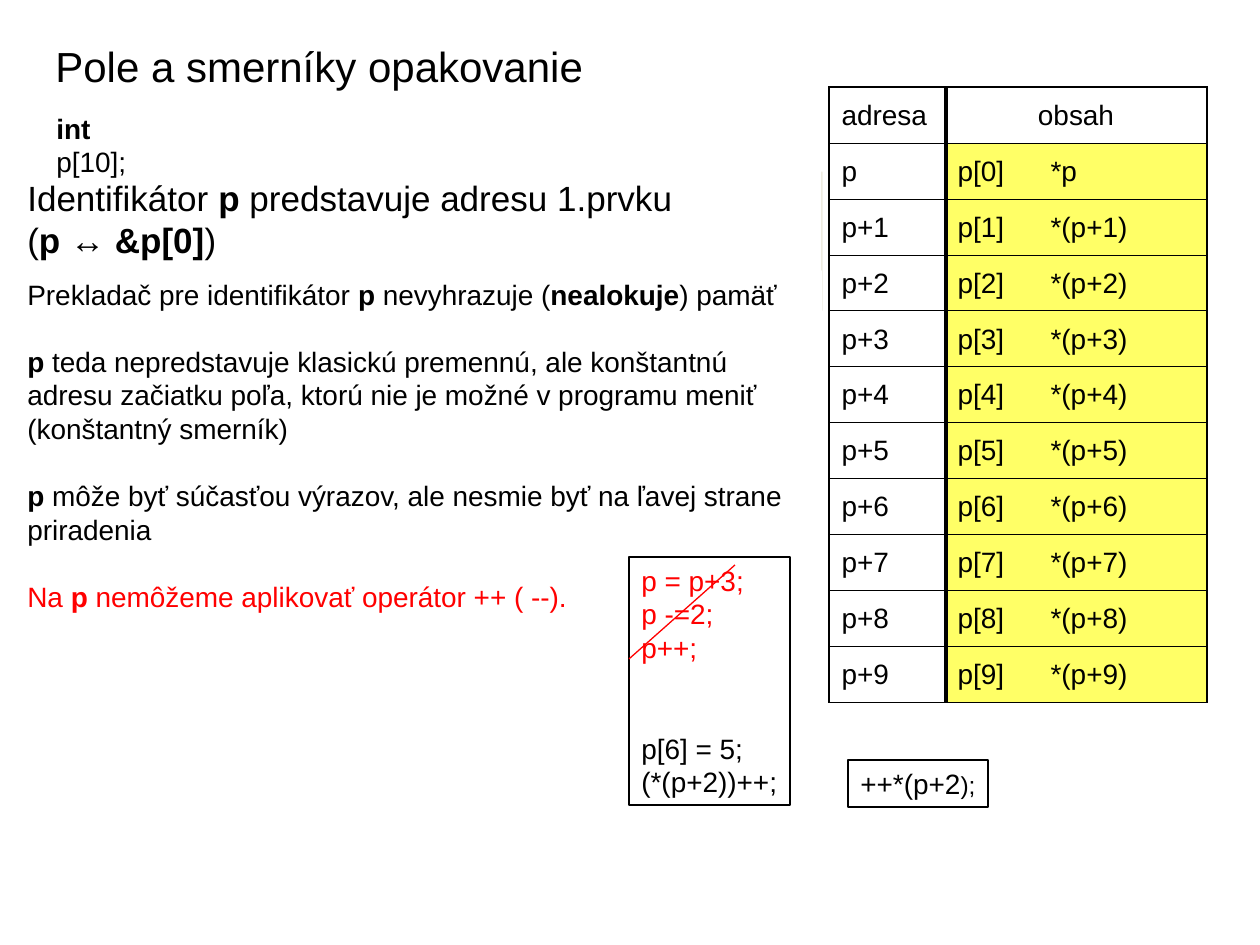
from lxml.etree import SubElement
from pptx import Presentation
from pptx.dml.color import RGBColor
from pptx.enum.shapes import MSO_CONNECTOR as CONN, MSO_SHAPE as SHAPE
from pptx.enum.text import MSO_ANCHOR as ANCHOR, MSO_AUTO_SIZE as AUTO, PP_ALIGN as ALIGN
from pptx.oxml import parse_xml
from pptx.oxml.ns import nsdecls, qn
from pptx.util import Emu, Pt

BLACK = RGBColor(0x00, 0x00, 0x00)
WHITE = RGBColor(0xFF, 0xFF, 0xFF)
RED = RGBColor(0xFF, 0x00, 0x00)
YELLOW = RGBColor(0xFF, 0xFF, 0x66)
SHADOW = RGBColor(0xEE, 0xEC, 0xE1)
FONT = "Arial"
SIZE = 16
ROW = 56
THIN, THICK = 0.45, 1.08


def px(n):
    return Emu(round(n * 914400 / 126))


def add_run(p, text, size=SIZE, color=BLACK, bold=False):
    r = p.add_run()
    r.text = text
    r.font.name = FONT
    r.font.size = Pt(size)
    r.font.bold = bold
    r.font.color.rgb = color


def add_marked(p, text, size, color):
    for i, part in enumerate(text.split("|")):
        if part:
            add_run(p, part, size, color, bold=i % 2 == 1)


def add_box(slide, box, lines, size=SIZE, line=WHITE, wrap=False):
    sp = slide.shapes.add_shape(SHAPE.RECTANGLE, *map(px, box))
    sp.shadow.inherit = False
    sp.fill.solid()
    sp.fill.fore_color.rgb = WHITE
    if line is None:
        sp.line.fill.background()
    else:
        sp.line.color.rgb = line
        sp.line.width = Pt(0.75)
    tf = sp.text_frame
    tf.word_wrap = wrap
    tf.auto_size = AUTO.SHAPE_TO_FIT_TEXT
    tf.vertical_anchor = ANCHOR.TOP
    for i, (text, color, gap) in enumerate(lines):
        p = tf.add_paragraph() if i else tf.paragraphs[0]
        p.alignment = ALIGN.LEFT
        if gap:
            p.space_before = Pt(gap)
        add_marked(p, text, size, color)
    return sp


def add_heading(slide, x, y):
    add_box(slide, (x, y, 553, 63), [("Pole a smerníky opakovanie", BLACK, 0)], size=24)


def add_declaration(slide, x, y):
    add_box(slide, (x, y, 136, 47), [("|int |p[10];", BLACK, 0)])


def add_explanation(slide, x, y):
    sp = add_box(slide, (x, y, 806, 139), [
        ("Identifikátor |p| predstavuje adresu 1.prvku", BLACK, 0),
        ("(|p ↔ &p[0]|)", BLACK, 0),
    ], size=20, line=None, wrap=True)
    effects = sp._element.spPr.find(qn("a:effectLst"))
    shadow = SubElement(effects, qn("a:outerShdw"), dist=str(Pt(1.4)), dir="2700000")
    SubElement(shadow, qn("a:srgbClr"), val=str(SHADOW))
    add_box(slide, (x, y + 101, 806, 349), [
        ("Prekladač pre identifikátor |p| nevyhrazuje (|nealokuje|) pamäť", BLACK, 0),
        ("|p| teda nepredstavuje klasickú premennú, ale konštantnú adresu začiatku poľa, "
         "ktorú nie je možné v programu meniť (konštantný smerník)", BLACK, 19.2),
        ("|p| môže byť súčasťou výrazov, ale nesmie byť na ľavej strane priradenia",
         BLACK, 19.2),
        ("Na |p |nemôžeme aplikovať operátor ++ ( --).", RED, 19.2),
    ], wrap=True)


def add_code(slide, x, y):
    add_box(slide, (x, y, 161, 248), [
        ("p = p+3;", RED, 0),
        ("p -=2;", RED, 0),
        ("p++;", RED, 0),
        ("p[6] = 5;", BLACK, 38.4),
        ("(*(p+2))++;", BLACK, 0),
    ], line=BLACK)
    strike = slide.shapes.add_connector(
        CONN.STRAIGHT, px(x), px(y + 102), px(x + 106), px(y + 8))
    strike.line.color.rgb = RED
    strike.line.width = Pt(0.75)
    SubElement(strike._element.spPr, qn("a:effectLst"))


def add_increment(slide, x, y):
    sp = add_box(slide, (x, y, 140, 47), [("++*(p+2", BLACK, 0)], line=BLACK)
    add_run(sp.text_frame.paragraphs[0], ");", size=14)


def set_borders(cell, first, last):
    widths = {"L": THICK, "R": THICK,
              "T": THICK if first else THIN, "B": THICK if last else THIN}
    for side, width in widths.items():
        cell._tc.get_or_add_tcPr().append(parse_xml(
            f'<a:ln{side} {nsdecls("a")} w="{Pt(width)}"><a:solidFill>'
            f'<a:srgbClr val="{BLACK}"/></a:solidFill></a:ln{side}>'))


def add_column(slide, x, y, w, header, values, align=ALIGN.LEFT, fill=None, tab=None):
    texts = [header, *values]
    table = slide.shapes.add_table(
        len(texts), 1, px(x), px(y), px(w), px(ROW * len(texts))).table
    table.first_row = table.horz_banding = False
    for i, text in enumerate(texts):
        cell = table.cell(i, 0)
        set_borders(cell, i == 0, i == len(texts) - 1)
        if i and fill is not None:
            cell.fill.solid()
            cell.fill.fore_color.rgb = fill
        else:
            cell.fill.background()
        p = cell.text_frame.paragraphs[0]
        p.alignment = ALIGN.LEFT if i else align
        p.space_before = Pt(4) if i < 0 else None
        cell.margin_top = px(6) + Pt(4)
        if i and tab:
            tabs = SubElement(p._p.get_or_add_pPr(), qn("a:tabLst"))
            SubElement(tabs, qn("a:tab"), pos=str(px(tab)), algn="l")
        add_run(p, text)


def add_memory(slide, x, y):
    offsets = ["p"] + [f"p+{i}" for i in range(1, 10)]
    contents = [f"p[{i}]\t*({o})" if i else f"p[{i}]\t*{o}" for i, o in enumerate(offsets)]
    add_column(slide, x + 116, y, 262, "obsah", contents,
               align=ALIGN.CENTER, fill=YELLOW, tab=93)
    add_column(slide, x, y, 118, "adresa", offsets)


def main():
    prs = Presentation()
    prs.slide_width, prs.slide_height = px(1260), px(945)
    slide = prs.slides.add_slide(prs.slide_layouts[6])
    add_heading(slide, 43, 34)
    add_explanation(slide, 15, 170)
    add_code(slide, 629, 557)
    add_increment(slide, 848, 760)
    add_memory(slide, 829, 87)
    add_declaration(slide, 44, 105)
    prs.save("out.pptx")


if __name__ == "__main__":
    main()
